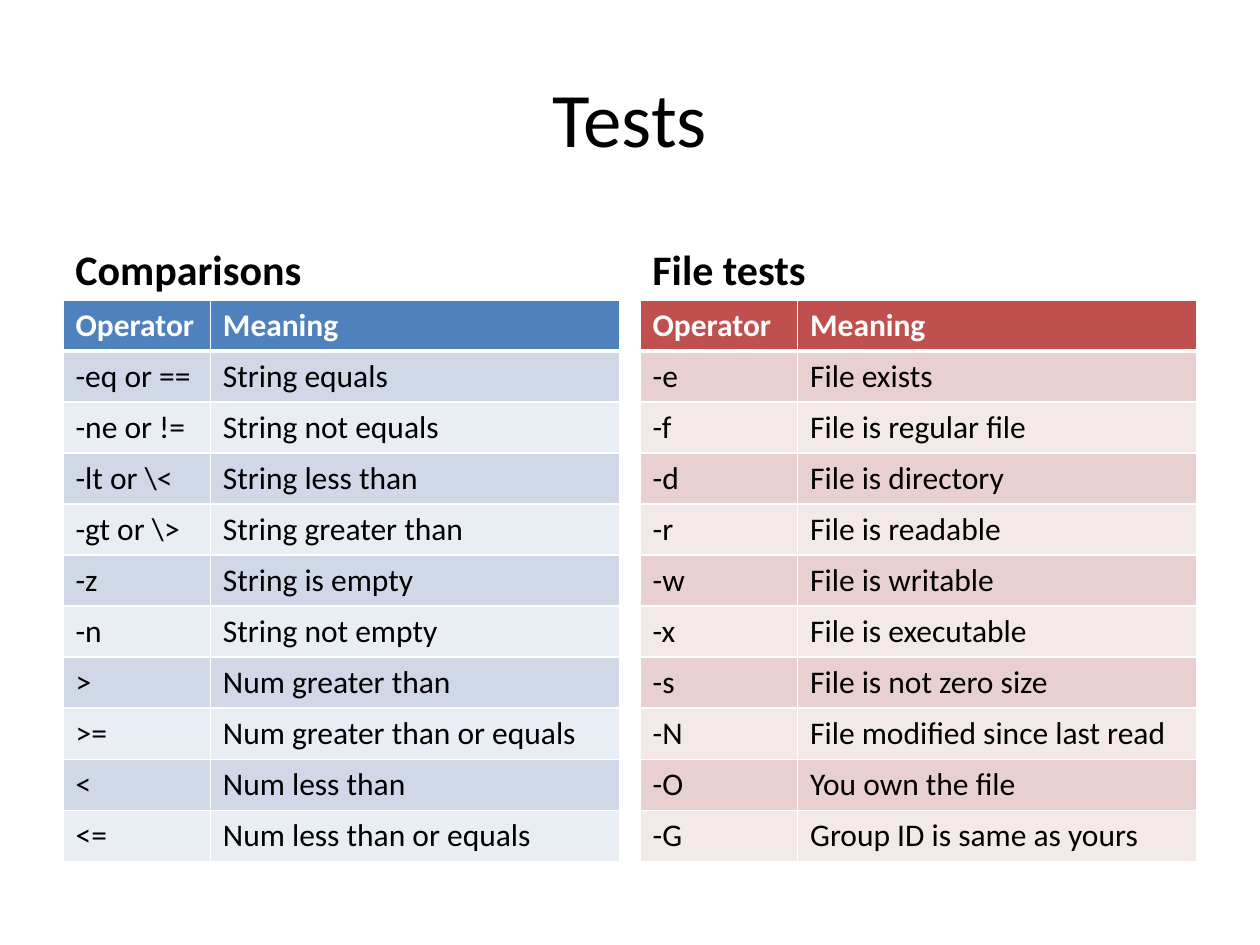
"""Build the Tests slide with its two operator tables."""
from dataclasses import dataclass

from lxml.etree import SubElement
from pptx import Presentation
from pptx.dml.color import RGBColor
from pptx.enum.text import MSO_ANCHOR, PP_ALIGN
from pptx.oxml.ns import qn
from pptx.util import Inches, Pt

TITLE = "Tests"
HEADS = ("Operator", "Meaning")
PANELS = [
    {"name": "Comparisons", "split": 1.17, "hue": "blue", "rows": [
        ("-eq or ==", "String equals"),
        ("-ne or !=", "String not equals"),
        ("-lt or \\<", "String less than"),
        ("-gt or \\>", "String greater than"),
        ("-z", "String is empty"),
        ("-n", "String not empty"),
        (">", "Num greater than"),
        (">=", "Num greater than or equals"),
        ("<", "Num less than"),
        ("<=", "Num less than or equals"),
    ]},
    {"name": "File tests", "split": 1.25, "hue": "red", "rows": [
        ("-e", "File exists"),
        ("-f", "File is regular file"),
        ("-d", "File is directory"),
        ("-r", "File is readable"),
        ("-w", "File is writable"),
        ("-x", "File is executable"),
        ("-s", "File is not zero size"),
        ("-N", "File modified since last read"),
        ("-O", "You own the file"),
        ("-G", "Group ID is same as yours"),
    ]},
]


@dataclass(frozen=True)
class Theme:
    """Hold the colours, font and type sizes."""
    font: str = "Calibri"
    ink: str = "000000"
    rule: str = "FFFFFF"
    blue: tuple = ("4F81BD", "D0D8E8", "E9EDF4")
    red: tuple = ("C0504D", "E8D0D0", "F4E9E9")
    title: int = 44
    label: int = 24
    cell: int = 18


LOOK = Theme()
SIDE, WIDE, TALL = 0.5, 4.42, 4.46
TOP, LABEL = 2.38, 0.7


def write(frame, text, size, color=LOOK.ink, bold=False, align=PP_ALIGN.LEFT):
    """Put one formatted line in a text frame."""
    line = frame.paragraphs[0]
    line.alignment = align
    run = line.add_run()
    run.text = text
    form = {"name": LOOK.font, "size": Pt(size), "bold": bold}
    for key, value in form.items():
        setattr(run.font, key, value)
    run.font.color.rgb = RGBColor.from_string(color)


def place(shape, *box):
    """Set the bounds of a shape in inches."""
    for key, value in zip(("left", "top", "width", "height"), box):
        setattr(shape, key, Inches(value))


def edge(cell, widths):
    """Draw the borders of a cell."""
    props = cell._tc.get_or_add_tcPr()
    for side, width in widths.items():
        line = SubElement(props, qn(f"a:ln{side}"), w=str(Pt(width)))
        fill = SubElement(line, qn("a:solidFill"))
        SubElement(fill, qn("a:srgbClr"), val=LOOK.rule)


def add_label(slide, text, left):
    """Add the heading above a table."""
    box = slide.shapes.add_textbox(
        Inches(left), Inches(TOP - LABEL), Inches(WIDE), Inches(LABEL))
    frame = box.text_frame
    frame.word_wrap = True
    frame.vertical_anchor = MSO_ANCHOR.BOTTOM
    write(frame, text, LOOK.label, bold=True)


def add_grid(slide, panel, left):
    """Add a banded table of operators."""
    rows = [HEADS, *panel["rows"]]
    head, *bands = getattr(LOOK, panel["hue"])
    grid = slide.shapes.add_table(
        len(rows), len(HEADS), Inches(left), Inches(TOP),
        Inches(WIDE), Inches(TALL)).table
    for col, width in zip(grid.columns, (panel["split"], WIDE - panel["split"])):
        col.width = Inches(width)
    for r, row in enumerate(rows):
        fill = bands[(r - 1) % 2] if r else head
        ink = LOOK.ink if r else LOOK.rule
        widths = {"L": 1, "R": 1, "T": 3 if r == 1 else 1, "B": 1 if r else 3}
        for c, text in enumerate(row):
            cell = grid.cell(r, c)
            edge(cell, widths)
            cell.fill.solid()
            cell.fill.fore_color.rgb = RGBColor.from_string(fill)
            write(cell.text_frame, text, LOOK.cell, ink, bold=not r)


def main():
    """Make and save the slide."""
    deck = Presentation()
    deck.slide_width, deck.slide_height = Inches(10), Inches(7.5)
    slide = deck.slides.add_slide(deck.slide_layouts[5])
    title = slide.shapes.title
    place(title, SIDE, 0.3, 10 - 2 * SIDE, 1.25)
    title.text_frame.vertical_anchor = MSO_ANCHOR.MIDDLE
    write(title.text_frame, TITLE, LOOK.title, align=PP_ALIGN.CENTER)
    for panel, left in zip(PANELS, (SIDE, 10 - SIDE - WIDE)):
        add_label(slide, panel["name"], left)
        add_grid(slide, panel, left)
    deck.save("out.pptx")


main()
